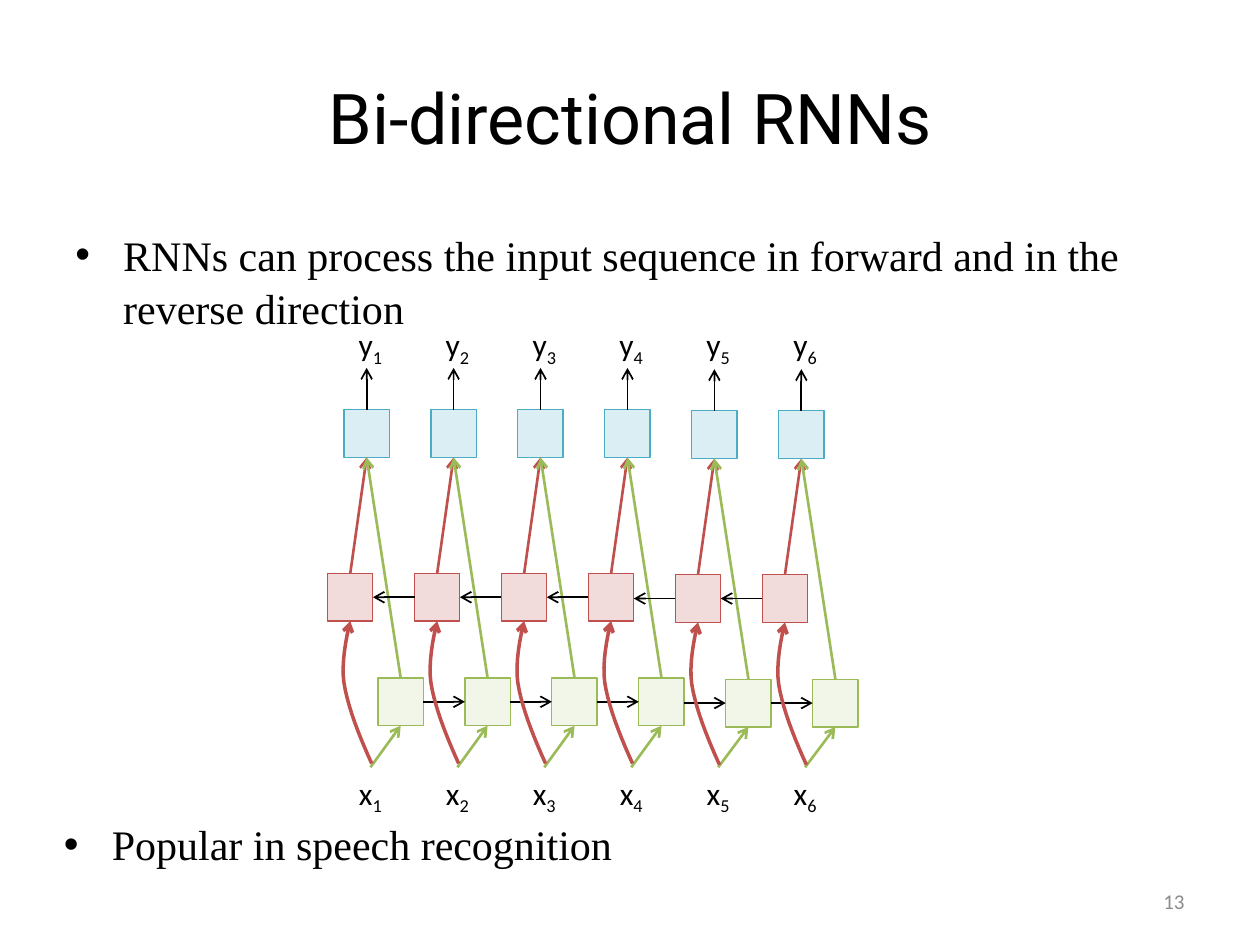
import pptx
import pptx.dml.color
import pptx.enum.shapes
import pptx.enum.text
import pptx.util
from lxml import etree
from pptx.dml.color import RGBColor
from pptx.oxml.ns import qn
from pptx.util import Inches

BLACK = RGBColor(0x00, 0x00, 0x00)
GREY = RGBColor(0x8C, 0x8C, 0x8C)
GREEN = RGBColor(0x9B, 0xBB, 0x59)
GREEN_FILL = RGBColor(0xD7, 0xE4, 0xBD)
RED = RGBColor(0xC0, 0x50, 0x4D)
RED_FILL = RGBColor(0xD9, 0x96, 0x94)
BLUE = RGBColor(0x4B, 0xAC, 0xC6)
BLUE_FILL = RGBColor(0x93, 0xCD, 0xDD)

ALIGN = pptx.enum.text.PP_ALIGN
ANCHOR = pptx.enum.text.MSO_ANCHOR

STEPS = 6
FIRST_CENTER = 2.91
PITCH = 0.69
CELL_WIDTH, CELL_HEIGHT = 0.36, 0.38
OUTPUT_TOP, BACKWARD_TOP, FORWARD_TOP = 3.25, 4.55, 5.38
BACKWARD_SHIFT, FORWARD_SHIFT = -0.13, 0.27

# Two joined cubic curves from an input to its backward cell; x is relative to the column.
CURVES = (
    ((0.04, 6.06), (-0.06, 5.84), (-0.15, 5.61), (-0.18, 5.42)),
    ((-0.18, 5.42), (-0.21, 5.23), (-0.13, 4.93), (-0.13, 4.93)),
)


def add_text(para, text, *, size, font="Calibri", color=BLACK, baseline=None):
    span = para.add_run()
    span.text = text
    span.font.size = pptx.util.Pt(size)
    span.font.name = font
    span.font.color.rgb = color
    if baseline is not None:
        span.font._element.set("baseline", str(baseline * 1000))


def bezier_point(curve, t):
    weights = ((1 - t) ** 3, 3 * t * (1 - t) ** 2, 3 * t ** 2 * (1 - t), t ** 3)
    return tuple(sum(w * point[axis] for w, point in zip(weights, curve)) for axis in (0, 1))


class RnnSlide:
    """Holds the page and the style of its elements."""

    arrow_width = 1.5
    cell_line = 0.75
    cell_opacity = 33
    body_font = "Times New Roman"

    def __init__(self, page):
        self.page = page

    def text_box(self, left, top, width, height, align=ALIGN.LEFT, anchor=ANCHOR.TOP, wrap=True):
        """Add an empty text box and return its first paragraph."""
        box = self.page.shapes.add_textbox(Inches(left), Inches(top), Inches(width), Inches(height))
        box.text_frame.word_wrap = wrap
        box.text_frame.vertical_anchor = anchor
        para = box.text_frame.paragraphs[0]
        para.alignment = align
        return para

    def bullet(self, text, left, top, width, height):
        para = self.text_box(left, top, width, height)
        para.line_spacing = 1.05
        properties = para._p.get_or_add_pPr()
        properties.set("marL", str(Inches(0.38)))
        properties.set("indent", str(-Inches(0.38)))
        etree.SubElement(properties, qn("a:buFont"), typeface="Arial")
        etree.SubElement(properties, qn("a:buChar"), char="•")
        add_text(para, text, size=24, font=self.body_font)

    def label(self, letter, number, center, top):
        para = self.text_box(center - 0.22, top, 0.44, 0.4, align=ALIGN.CENTER, wrap=False)
        add_text(para, letter, size=18)
        add_text(para, str(number), size=18, baseline=-25)

    def cell(self, center, top, fill, line):
        box = self.page.shapes.add_shape(
            pptx.enum.shapes.MSO_SHAPE.RECTANGLE,
            Inches(center - CELL_WIDTH / 2), Inches(top), Inches(CELL_WIDTH), Inches(CELL_HEIGHT))
        box.shadow.inherit = False
        box.fill.solid()
        box.fill.fore_color.rgb = fill
        color = box.fill._xPr.find(qn("a:solidFill"))[0]
        etree.SubElement(color, qn("a:alpha"), val=str(self.cell_opacity * 1000))
        box.line.color.rgb = line
        box.line.width = pptx.util.Pt(self.cell_line)

    def finish_arrow(self, shape, color, width):
        shape.line.color.rgb = color
        shape.line.width = pptx.util.Pt(width)
        etree.SubElement(shape.line._get_or_add_ln(), qn("a:tailEnd"), type="arrow")

    def arrow(self, start, end, color=BLACK, width=1):
        connector = self.page.shapes.add_connector(
            pptx.enum.shapes.MSO_CONNECTOR.STRAIGHT, *map(Inches, start + end))
        self.finish_arrow(connector, color, width)
        etree.SubElement(connector._element.spPr, qn("a:effectLst"))

    def curved_arrow(self, center, drop):
        points = [bezier_point(curve, step / 10) for curve in CURVES for step in range(11)]
        corners = [(Inches(center + x), Inches(y + drop)) for x, y in points]
        builder = self.page.shapes.build_freeform(*corners[0])
        builder.add_line_segments(corners[1:], close=False)
        curve = builder.convert_to_shape()
        curve.shadow.inherit = False
        curve.fill.background()
        self.finish_arrow(curve, RED, 2)

    def column(self, index):
        """Draw one time step, with its links to the step before it."""
        center = FIRST_CENTER + index * PITCH
        drop = 0.01 if index >= 4 else 0
        output, backward, forward = (
            top + drop for top in (OUTPUT_TOP, BACKWARD_TOP, FORWARD_TOP))
        backward_x, forward_x = center + BACKWARD_SHIFT, center + FORWARD_SHIFT
        half_width, middle = CELL_WIDTH / 2, CELL_HEIGHT / 2
        output_bottom = (center, output + CELL_HEIGHT)

        self.cell(forward_x, forward, GREEN_FILL, GREEN)
        self.cell(center, output, BLUE_FILL, BLUE)
        self.cell(backward_x, backward, RED_FILL, RED)
        if index:
            gap = PITCH - CELL_WIDTH
            forward_edge, backward_edge = forward_x - half_width, backward_x - half_width
            self.arrow((forward_edge - gap, forward + middle), (forward_edge, forward + middle))
            self.arrow((backward_edge, backward + middle), (backward_edge - gap, backward + middle))
        self.arrow((center, output), (center, output - 0.33))
        self.arrow((center + 0.03, 6.09), (forward_x, forward + CELL_HEIGHT), GREEN, self.arrow_width)
        self.arrow((backward_x, backward), output_bottom, RED, self.arrow_width)
        self.curved_arrow(center, drop)
        self.arrow((forward_x, forward), output_bottom, GREEN, self.arrow_width)
        self.label("x", index + 1, center + 0.03, 6.09)
        self.label("y", index + 1, center + 0.03, 2.53)


def main():
    deck = pptx.Presentation()
    deck.slide_width, deck.slide_height = Inches(10), Inches(7.5)
    slide = RnnSlide(deck.slides.add_slide(deck.slide_layouts[6]))

    title = slide.text_box(0.5, 0.3, 9, 1.25, align=ALIGN.CENTER, anchor=ANCHOR.MIDDLE)
    add_text(title, "Bi-directional RNNs", size=40, font="Roboto")
    slide.bullet("RNNs can process the input sequence in forward and in the reverse direction",
                 0.5, 1.75, 9.5, 1.15)
    for index in range(STEPS):
        slide.column(index)
    slide.bullet("Popular in speech recognition", 0.41, 6.43, 9.5, 0.75)
    number = slide.text_box(7.17, 6.95, 2.33, 0.4, align=ALIGN.RIGHT, anchor=ANCHOR.MIDDLE)
    add_text(number, "13", size=12, color=GREY)

    deck.save("out.pptx")


if __name__ == "__main__":
    main()
